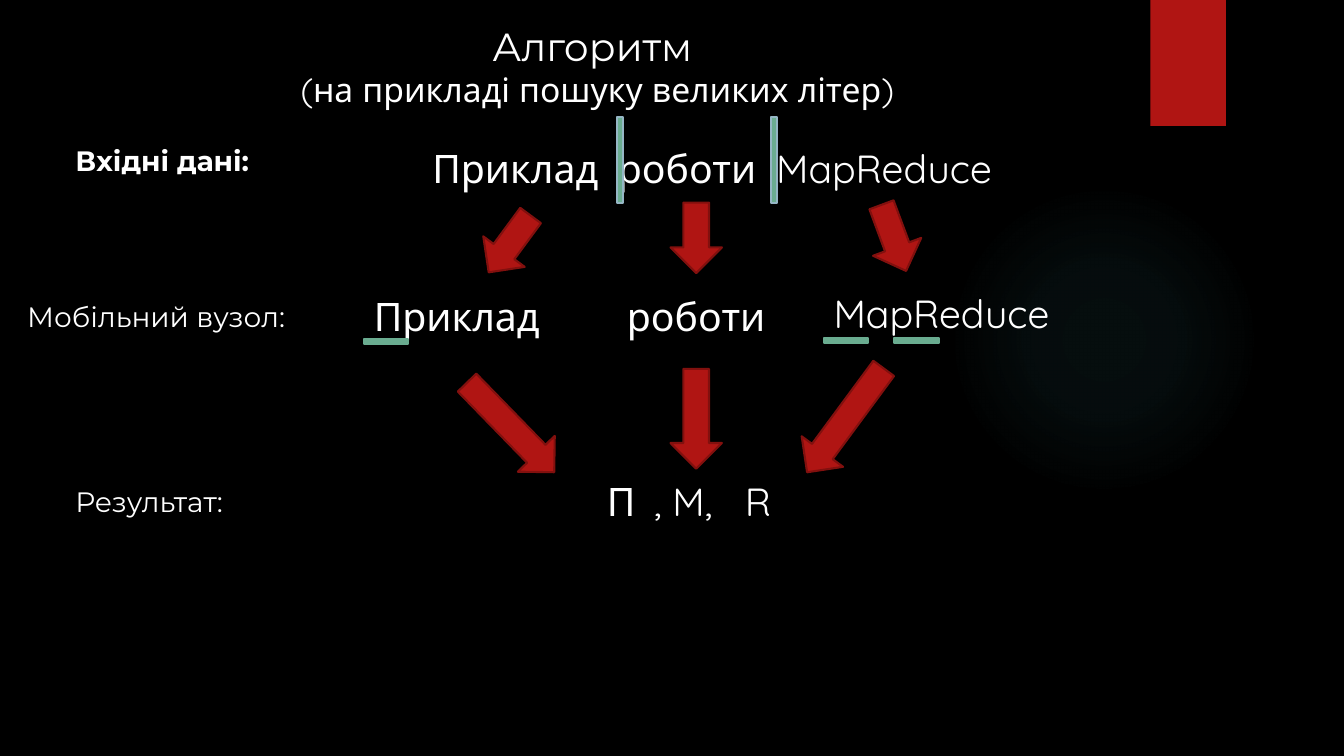
from lxml import etree
from pptx import Presentation
from pptx.dml.color import RGBColor
from pptx.enum.shapes import MSO_SHAPE
from pptx.enum.text import MSO_ANCHOR, MSO_AUTO_SIZE, PP_ALIGN
from pptx.oxml.ns import qn
from pptx.util import Inches, Pt

RECTANGLE = MSO_SHAPE.RECTANGLE
OVAL = MSO_SHAPE.OVAL
DOWN_ARROW = MSO_SHAPE.DOWN_ARROW
TOP = MSO_ANCHOR.TOP
GROW = MSO_AUTO_SIZE.SHAPE_TO_FIT_TEXT
CENTER = PP_ALIGN.CENTER
TITLE_ONLY = 5

BLACK, WHITE = "000000", "FFFFFF"
RED, DARK_RED = "B01513", "82100E"
GREEN, PALE_BLUE, TEAL = "6AAC90", "95B6C5", "50B9C1"
HEADING = {"name": "Montserrat", "size": Pt(28)}
LABEL = {"name": "Montserrat", "size": Pt(20)}
SUBTITLE = {"name": "Quicksand", "size": Pt(24)}
WORD = {"name": "Quicksand", "size": Pt(28)}


def rgb(color):
    return RGBColor.from_string(color)


def add_xml(parent, tag, **attributes):
    return etree.SubElement(parent, qn(tag), attributes)


def add_xml_color(parent, color, percent):
    node = add_xml(parent, "a:srgbClr", val=color)
    add_xml(node, "a:alpha", val=str(percent * 1000))


def add_run(paragraph, text, font_format):
    run = paragraph.add_run()
    run.text = text
    run.font.color.rgb = rgb(WHITE)
    for attribute, value in font_format.items():
        setattr(run.font, attribute, value)


def add_text(slide, text, left, top, width, height, font_format, tabs=()):
    box = slide.shapes.add_textbox(*map(Inches, (left, top, width, height)))
    frame = box.text_frame
    frame.word_wrap = True
    frame.auto_size = GROW
    paragraph = frame.paragraphs[0]
    add_run(paragraph, text, font_format)
    if tabs:
        stops = add_xml(paragraph._p.get_or_add_pPr(), "a:tabLst")
        for position in tabs:
            add_xml(stops, "a:tab", pos=str(Inches(position)), algn="l")


def add_figure(slide, kind, left, top, width, height, fill, line=None, rotation=0):
    figure = slide.shapes.add_shape(kind, *map(Inches, (left, top, width, height)))
    figure.shadow.inherit = False
    figure.rotation = rotation
    figure.fill.solid()
    figure.fill.fore_color.rgb = rgb(fill)
    if line:
        figure.line.color.rgb = rgb(line)
        figure.line.width = Pt(1.5)
    else:
        figure.line.fill.background()
    return figure


def add_glow(slide):
    glow = add_figure(slide, OVAL, 9.41, 1.83, 3.08, 3.08, TEAL)
    properties = glow._element.spPr
    gradient = etree.Element(qn("a:gradFill"), rotWithShape="1")
    stops = add_xml(gradient, "a:gsLst")
    for position, opacity in ((0, 7), (36, 6), (69, 0)):
        stop = add_xml(stops, "a:gs", pos=str(position * 1000))
        add_xml_color(stop, TEAL, opacity)
    focus = add_xml(gradient, "a:path", path="circle")
    add_xml(focus, "a:fillToRect", l="50000", t="50000", r="50000", b="50000")
    properties.replace(properties.find(qn("a:solidFill")), gradient)


def add_ribbon(slide):
    ribbon = add_figure(slide, RECTANGLE, 11.41, 0, 0.75, 1.25, RED)
    effects = ribbon._element.spPr.find(qn("a:effectLst"))
    shadow = add_xml(effects, "a:outerShdw", blurRad=str(Pt(3)), dist=str(Pt(2)),
                     dir="5400000", rotWithShape="0")
    add_xml_color(shadow, BLACK, 45)


def format_title(slide):
    title = slide.shapes.title
    place = {"left": 2.65, "top": 0.17, "width": 6.55, "height": 0.98}
    for attribute, value in place.items():
        setattr(title, attribute, Inches(value))
    frame = title.text_frame
    frame.word_wrap = True
    frame.auto_size = GROW
    frame.vertical_anchor = TOP
    paragraph = frame.paragraphs[0]
    paragraph.alignment = CENTER
    add_run(paragraph, "Алгоритм ", HEADING)
    paragraph.add_line_break()
    add_run(paragraph, "(на прикладі пошуку великих літер)", SUBTITLE)


def main():
    prs = Presentation()
    prs.slide_width, prs.slide_height = Inches(13.33), Inches(7.5)
    slide = prs.slides.add_slide(prs.slide_layouts[TITLE_ONLY])
    slide.background.fill.solid()
    slide.background.fill.fore_color.rgb = rgb(BLACK)

    # Decoration and title
    add_glow(slide)
    add_ribbon(slide)
    format_title(slide)

    # Stage labels
    add_text(slide, "Вхідні дані:", 0.65, 1.37, 2.11, 0.44, {**LABEL, "bold": True})
    add_text(slide, "Мобільний вузол:", 0.17, 2.92, 5.18, 0.44, LABEL)
    add_text(slide, "Результат:", 0.65, 4.76, 3.77, 0.44, LABEL)

    # Input phrase with its split marks
    add_text(slide, "Приклад\tроботи\tMapReduce", 4.19, 1.38, 9.79, 0.57, WORD,
             tabs=(1.84, 3.41))
    for left in (6.12, 7.65):
        add_figure(slide, RECTANGLE, left, 1.16, 0.06, 0.85, GREEN, PALE_BLUE)

    # Words on the nodes, capitals underlined
    for word, left, top, width in (("Приклад", 3.61, 2.85, 2.05),
                                   ("роботи", 6.12, 2.85, 2.05),
                                   ("MapReduce", 8.17, 2.82, 2.9)):
        add_text(slide, word, left, top, width, 0.57, WORD)
    for left, top in ((3.61, 3.36), (8.17, 3.35), (8.87, 3.35)):
        add_figure(slide, RECTANGLE, left, top, 0.44, 0.05, GREEN, GREEN)

    # Arrows: split to nodes, then nodes to result
    for left, top, height, rotation in ((4.8, 2.07, 0.7, 36.4),
                                        (6.65, 2.01, 0.7, 0),
                                        (8.61, 2.01, 0.7, 339.6),
                                        (4.81, 3.62, 1.24, 315.8),
                                        (6.65, 3.66, 0.99, 0),
                                        (8.13, 3.53, 1.28, 36.4)):
        add_figure(slide, DOWN_ARROW, left, top, 0.51, height, RED, DARK_RED, rotation)

    # Result
    add_text(slide, "П\t, M,\tR", 5.92, 4.69, 5.65, 0.57, WORD, tabs=(0.47, 1.37))

    prs.save("out.pptx")


if __name__ == "__main__":
    main()
